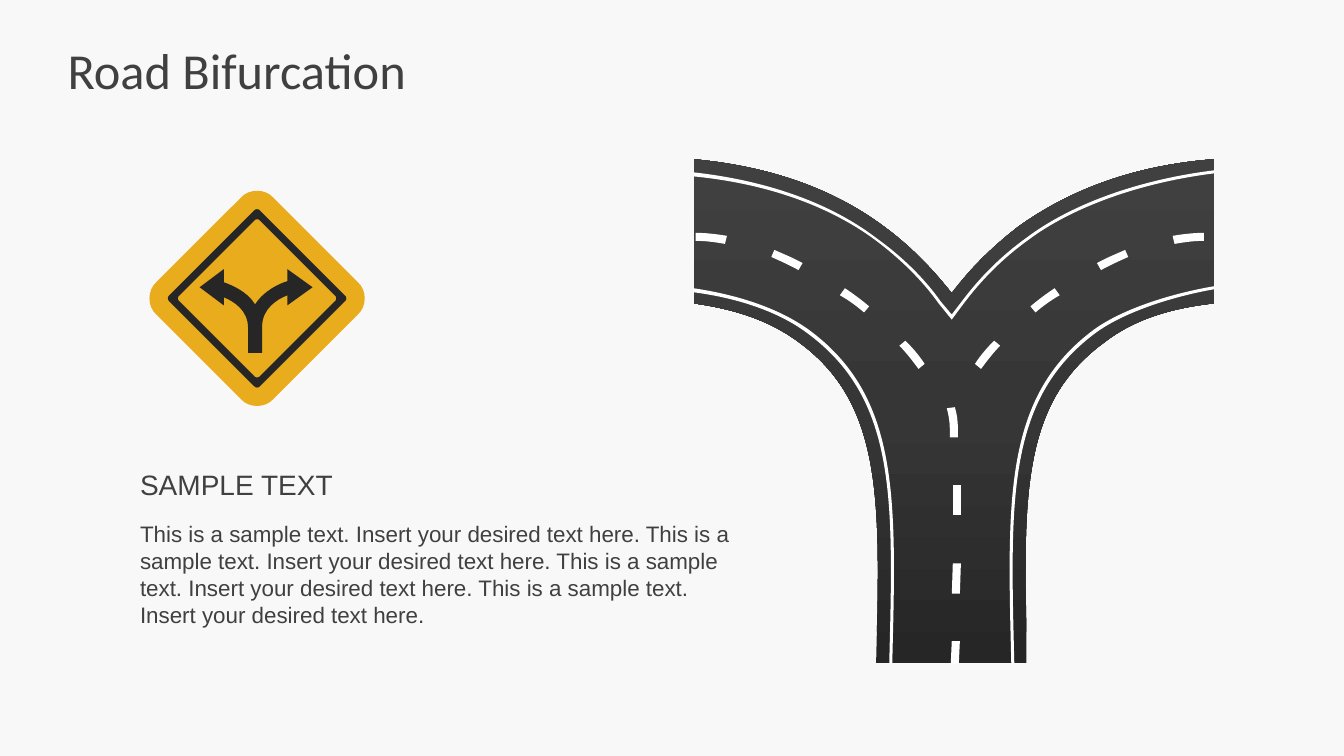
from copy import deepcopy
from dataclasses import dataclass

from pptx import Presentation
from pptx.dml.color import RGBColor
from pptx.enum.text import MSO_ANCHOR as Anchor, MSO_AUTO_SIZE as AutoSize, PP_ALIGN as Align
from pptx.oxml.ns import qn
from pptx.shapes.autoshape import Shape
from pptx.slide import Slide
from pptx.text.text import TextFrame
from pptx.util import Inches, Pt

Point = tuple[float, float]
Segment = tuple[Point, ...]  # one point: straight line; three points: Bezier curve
Outline = list[Segment]  # starts with a one-point segment

INK, WHITE, AMBER, BLACK, PAPER = "404040", "FFFFFF", "E9AC1C", "262626", "F8F8F8"
BRANCH_AXIS = 9.42
SIGN_CENTRE: Point = (2.55, 2.96)


@dataclass(frozen=True)
class Caption:
    words: str
    left: float
    top: float
    width: float
    height: float
    size: int


@dataclass(frozen=True)
class Corner:
    """Rounded tip of a diamond: its end and control points, from the centre."""
    reach: float
    half: float
    control_reach: float
    control_half: float


# Road surface and its painted edges
ROAD: Outline = [
    ((10.1, 2.25),), ((9.84, 2.45), (9.62, 2.67), (9.44, 2.91)),
    ((9.25, 2.67), (9.04, 2.45), (8.77, 2.25)), ((8.26, 1.87), (7.63, 1.65), (6.88, 1.58)),
    ((6.88, 3.01),), ((7.31, 3.07), (7.65, 3.19), (7.93, 3.4)),
    ((8.69, 3.96), (8.73, 4.82), (8.7, 6.16)), ((8.69, 6.58),), ((10.18, 6.58),),
    ((10.18, 6.16),), ((10.15, 4.82), (10.18, 3.96), (10.95, 3.4)),
    ((11.23, 3.18), (11.59, 3.06), (12.04, 3.01)), ((12.04, 1.58),),
    ((11.27, 1.64), (10.63, 1.87), (10.1, 2.25)),
]
LEFT_EDGE: Outline = [
    ((8.02, 3.27),), ((7.74, 3.07), (7.35, 2.93), (6.88, 2.86)), ((6.88, 2.9),),
    ((7.34, 2.96), (7.73, 3.1), (8, 3.3)), ((8.82, 3.9), (8.86, 4.78), (8.83, 6.17)),
    ((8.82, 6.58),), ((8.85, 6.58),), ((8.86, 6.17),),
    ((8.89, 4.77), (8.85, 3.88), (8.02, 3.27)),
]
RIGHT_EDGE: Outline = [
    ((10.02, 6.17),), ((10.03, 6.58),), ((10.06, 6.58),), ((10.05, 6.17),),
    ((10.02, 4.78), (10.06, 3.9), (10.87, 3.3)), ((11.16, 3.09), (11.64, 2.94), (12.04, 2.87)),
    ((12.04, 2.84),), ((11.63, 2.91), (11.14, 3.06), (10.85, 3.27)),
    ((10.03, 3.88), (9.99, 4.77), (10.02, 6.17)),
]
FORK_EDGE: Outline = [
    ((10.18, 2.36),), ((9.93, 2.54), (9.72, 2.75), (9.54, 2.99)), ((9.44, 3.12),),
    ((9.33, 2.99),), ((9.16, 2.75), (8.94, 2.54), (8.69, 2.36)),
    ((8.23, 2.01), (7.6, 1.79), (6.88, 1.71)), ((6.88, 1.75),),
    ((7.6, 1.82), (8.22, 2.04), (8.68, 2.38)), ((8.92, 2.56), (9.14, 2.77), (9.31, 3.01)),
    ((9.44, 3.17),), ((9.56, 3.01),), ((9.74, 2.77), (9.95, 2.56), (10.2, 2.38)),
    ((10.64, 2.05), (11.32, 1.81), (12.04, 1.72)), ((12.04, 1.69),),
    ((11.31, 1.78), (10.63, 2.02), (10.18, 2.36)),
]

# Lane dashes
BRANCH_DASHES: list[Outline] = [
    [((6.9, 2.31),), ((6.9, 2.39),), ((6.99, 2.39), (7.08, 2.4), (7.19, 2.42)),
     ((7.21, 2.34),), ((7.09, 2.32), (6.99, 2.31), (6.9, 2.31))],
    [((7.68, 2.48),), ((7.65, 2.55),), ((7.74, 2.59), (7.83, 2.63), (7.92, 2.68)),
     ((7.96, 2.61),), ((7.87, 2.56), (7.77, 2.52), (7.68, 2.48))],
    [((8.38, 2.86),), ((8.33, 2.93),), ((8.42, 2.98), (8.5, 3.04), (8.57, 3.1)),
     ((8.62, 3.04),), ((8.55, 2.98), (8.47, 2.92), (8.38, 2.86))],
    [((8.92, 3.43),), ((8.99, 3.5), (9.05, 3.58), (9.11, 3.66)),
     ((9.17, 3.61),), ((9.12, 3.53), (9.05, 3.45), (8.98, 3.38))],
]
STEM_DASHES: list[Outline] = [
    [((9.5, 4.34),), ((9.5, 4.25),), ((9.5, 4.17), (9.49, 4.1), (9.47, 4.04)),
     ((9.39, 4.05),), ((9.41, 4.12), (9.42, 4.19), (9.42, 4.25)), ((9.42, 4.34),)],
    [((9.45, 4.81),), ((9.45, 5.11),), ((9.53, 5.11),), ((9.53, 4.81),)],
    [((9.44, 5.89),), ((9.52, 5.89),), ((9.53, 5.59),), ((9.45, 5.59),)],
    [((9.43, 6.58),), ((9.51, 6.58),), ((9.52, 6.36),), ((9.44, 6.36),)],
]

# Road sign
SIGN_PLATE = Corner(1, 0.16, 1.09, 0.08)
SIGN_BORDER = [Corner(0.87, 0.03, 0.89, 0.02), Corner(0.77, 0.03, 0.79, 0.02)]
FORK_ARROW: Outline = [
    ((3.1, 2.85),), ((2.85, 2.67),), ((2.85, 2.79),), ((2.78, 2.81), (2.62, 2.88), (2.53, 3.02)),
    ((2.45, 2.89), (2.3, 2.83), (2.22, 2.8)), ((2.22, 2.67),), ((1.98, 2.85),),
    ((2.22, 3.03),), ((2.22, 2.95),), ((2.32, 2.99), (2.46, 3.08), (2.46, 3.25)),
    ((2.46, 3.5),), ((2.6, 3.5),), ((2.6, 3.24),),
    ((2.6, 3.06), (2.75, 2.97), (2.85, 2.93)), ((2.85, 3.03),),
]

CAPTIONS = [
    Caption("This is a sample text. Insert your desired text here. "
            "This is a sample text. Insert your desired text here. "
            "This is a sample text. Insert your desired text here. "
            "This is a sample text. Insert your desired text here.", 1.29, 5.11, 6.08, 1.18, 16),
    Caption("SAMPLE TEXT", 1.29, 4.59, 5.92, 0.44, 20),
]


def colour(code: str) -> RGBColor:
    return RGBColor.from_string(code)


def mirrored(outline: Outline) -> Outline:
    return [tuple((2 * BRANCH_AXIS - x, y) for x, y in segment) for segment in outline]


def diamond(corner: Corner) -> Outline:
    """Turn one rounded tip around the sign's centre four times."""
    tip = [(corner.reach, -corner.half), (corner.control_reach, -corner.control_half),
           (corner.control_reach, corner.control_half), (corner.reach, corner.half)]
    outline: Outline = []
    for _ in range(4):
        start, *curve = [(SIGN_CENTRE[0] + x, SIGN_CENTRE[1] + y) for x, y in tip]
        outline += [(start,), tuple(curve)]
        tip = [(-y, x) for x, y in tip]
    return outline


def bend(shape: Shape, outlines: list[Outline]) -> None:
    """Merge the three lines of each curved segment into one Bezier curve."""
    lines = iter(list(shape._element.iter(qn("a:lnTo"))))
    for segment in (segment for outline in outlines for segment in outline[1:]):
        first, *others = [next(lines) for _ in segment]
        if others:
            first.tag = qn("a:cubicBezTo")
        for line in others:
            first.append(line[0])
            line.getparent().remove(line)


def draw(slide: Slide, outlines: list[Outline], fill: str) -> Shape:
    contours = [[(Inches(x), Inches(y)) for segment in outline for x, y in segment]
                for outline in outlines]
    builder = slide.shapes.build_freeform(*contours[0][0])
    for index, (start, *others) in enumerate(contours):
        if index:
            builder.move_to(*start)
        builder.add_line_segments(others, close=True)
    shape = builder.convert_to_shape()
    bend(shape, outlines)
    shape.shadow.inherit = False
    shape.line.fill.background()
    shape.fill.solid()
    shape.fill.fore_color.rgb = colour(fill)
    return shape


def shade_road(road: Shape) -> None:
    road.fill.gradient()
    road.fill.gradient_angle = 90
    first = road.fill.gradient_stops[0]._gs
    first.addnext(deepcopy(first))
    shades = [(0, BLACK), (0.5, "363636"), (1, INK)]
    for stop, (position, shade) in zip(road.fill.gradient_stops, shades):
        stop.position = position
        stop.color.rgb = colour(shade)


def write(frame: TextFrame, words: str, size: int, font: str) -> None:
    frame.word_wrap = True
    paragraph = frame.paragraphs[0]
    paragraph.alignment = Align.LEFT
    run = paragraph.add_run()
    run.text = words
    run.font.size, run.font.name = Pt(size), font
    run.font.color.rgb = colour(INK)


def main() -> None:
    deck = Presentation()
    deck.slide_width, deck.slide_height = Inches(13.33), Inches(7.5)
    slide = deck.slides.add_slide(deck.slide_layouts[5])
    slide.background.fill.solid()
    slide.background.fill.fore_color.rgb = colour(PAPER)

    # Title
    title = slide.shapes.title
    title.left, title.top, title.width, title.height = map(Inches, (0.67, 0.3, 12, 0.78))
    heading = title.text_frame
    heading.margin_left = heading.margin_right = 0
    heading.margin_top = heading.margin_bottom = Inches(0.07)
    heading.vertical_anchor, heading.auto_size = Anchor.MIDDLE, AutoSize.NONE
    write(heading, "Road Bifurcation", 36, "Calibri")

    # Road with its markings
    shade_road(draw(slide, [ROAD], INK))
    dashes = BRANCH_DASHES + [mirrored(dash) for dash in BRANCH_DASHES] + STEM_DASHES
    for marking in dashes + [LEFT_EDGE, RIGHT_EDGE, FORK_EDGE]:
        draw(slide, [marking], WHITE)

    # Captions
    for caption in CAPTIONS:
        box = slide.shapes.add_textbox(*map(Inches, (caption.left, caption.top,
                                                     caption.width, caption.height)))
        write(box.text_frame, caption.words, caption.size, "Arial")
        box.text_frame.auto_size = AutoSize.SHAPE_TO_FIT_TEXT

    # Road sign
    draw(slide, [diamond(SIGN_PLATE)], AMBER)
    draw(slide, [diamond(corner) for corner in SIGN_BORDER], BLACK)
    draw(slide, [FORK_ARROW], BLACK)

    deck.save("out.pptx")


if __name__ == "__main__":
    main()
